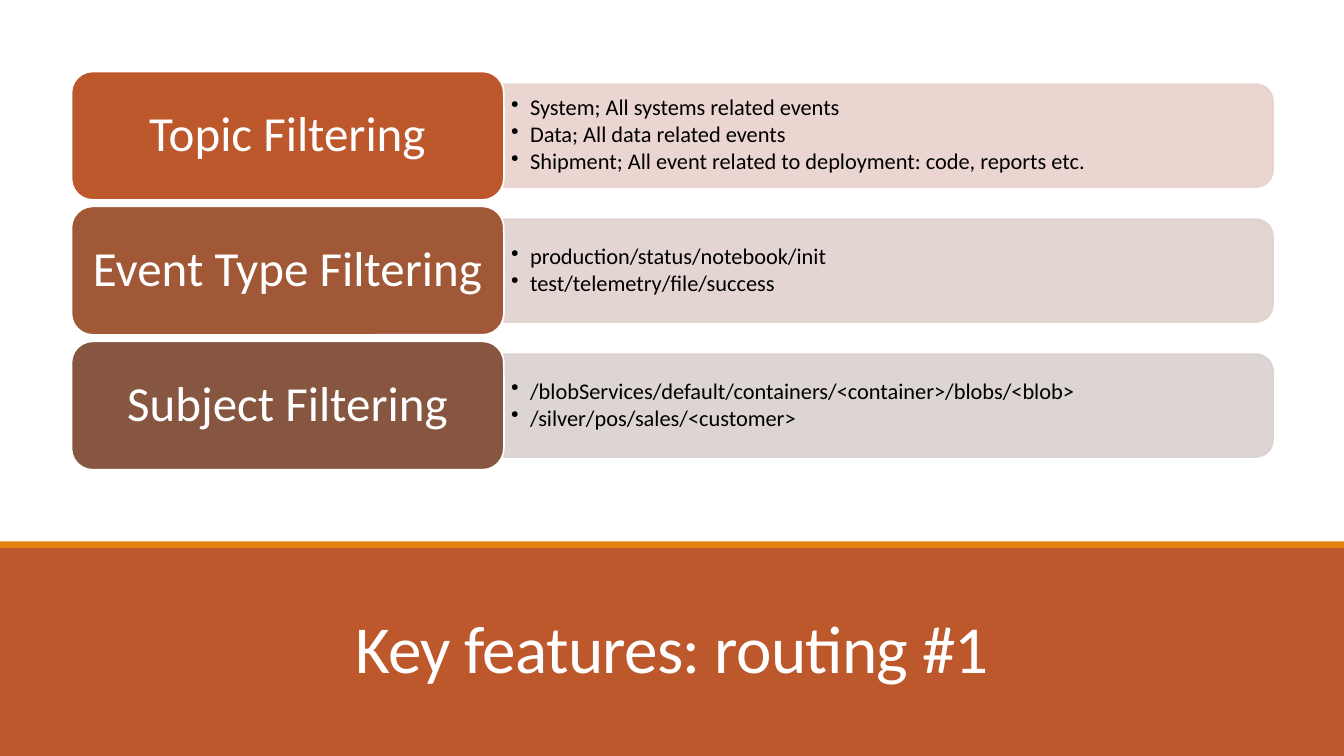
from lxml import etree
from pptx import Presentation
from pptx.dml.color import RGBColor
from pptx.enum import shapes, text
from pptx.oxml import ns
from pptx.util import Cm, Pt

WHITE = RGBColor(0xFF, 0xFF, 0xFF)
BLACK = RGBColor(0, 0, 0)
RUST = RGBColor(0xBD, 0x58, 0x2C)
ORANGE = RGBColor(0xE4, 0x83, 0x12)
SIENNA = RGBColor(0xA0, 0x58, 0x37)
BROWN = RGBColor(0x86, 0x56, 0x40)
PALE_ROSE = RGBColor(0xE8, 0xD1, 0xCD)
PALE_SIENNA = RGBColor(0xE1, 0xD1, 0xCE)
PALE_BROWN = RGBColor(0xD9, 0xD1, 0xCF)

FONT = "Calibri"
PAGE_WIDTH, PAGE_HEIGHT = Cm(33.87), Cm(19.05)

FILTERS = [
    ("Topic Filtering", RUST, PALE_ROSE, [
        "System; All systems related events",
        "Data; All data related events",
        "Shipment; All event related to deployment: code, reports etc.",
    ]),
    ("Event Type Filtering", SIENNA, PALE_SIENNA, [
        "production/status/notebook/init",
        "test/telemetry/file/success",
    ]),
    ("Subject Filtering", BROWN, PALE_BROWN, [
        "/blobServices/default/containers/<container>/blobs/<blob>",
        "/silver/pos/sales/<customer>",
    ]),
]


def add_block(page, kind, left, top, width, height, color, line=None):
    block = page.shapes.add_shape(kind, left, top, width, height)
    block.shadow.inherit = False
    block.fill.solid()
    block.fill.fore_color.rgb = color
    if line is None:
        block.line.fill.background()
    else:
        block.line.color.rgb = line
        block.line.width = Pt(1.25)
    return block


def set_insets(frame, side, edge):
    frame.margin_left = frame.margin_right = side
    frame.margin_top = frame.margin_bottom = edge


def format_paragraph(para, size, color, spacing, after=0):
    para.line_spacing = spacing
    para.space_after = Pt(after)
    for span in para.runs:
        span.font.name = FONT
        span.font.size = Pt(size)
        span.font.color.rgb = color


def add_bullet(para):
    properties = para._p.get_or_add_pPr()
    properties.set("marL", str(Cm(0.48)))
    properties.set("indent", str(-Cm(0.48)))
    etree.SubElement(properties, ns.qn("a:buChar")).set("char", "•")


def add_panel(page, left, top, width, height, color):
    shift = (width - height) // 2
    panel = add_block(page, shapes.MSO_SHAPE.ROUND_2_SAME_RECTANGLE,
                      left + shift, top - shift, height, width, color, color)
    panel.rotation = 90
    for tint in panel.element.spPr.iter(ns.qn("a:srgbClr")):
        etree.SubElement(tint, ns.qn("a:alpha")).set("val", "90000")


def add_details(page, left, top, width, height, lines):
    box = page.shapes.add_textbox(left, top, width, height)
    frame = box.text_frame
    frame.word_wrap = True
    frame.vertical_anchor = text.MSO_ANCHOR.MIDDLE
    set_insets(frame, Cm(0.18), Cm(0.08))
    frame.text = "\n".join(lines)
    for para in frame.paragraphs:
        add_bullet(para)
        format_paragraph(para, 16, BLACK, 0.9, 2)


def add_label(page, left, top, width, height, name, color):
    label = add_block(page, shapes.MSO_SHAPE.ROUNDED_RECTANGLE,
                      left, top, width, height, color, WHITE)
    frame = label.text_frame
    frame.word_wrap = True
    frame.vertical_anchor = text.MSO_ANCHOR.MIDDLE
    set_insets(frame, Cm(0.2), Cm(0.2))
    frame.text = name
    para = frame.paragraphs[0]
    para.alignment = text.PP_ALIGN.CENTER
    format_paragraph(para, 35, WHITE, 0.9)


def add_filter_row(page, left, top, width, height, name, color, tint, lines):
    label_width = Cm(10.9)
    panel_left, panel_width = left + label_width, width - label_width
    panel_height = Cm(2.59)
    panel_top = top + (height - panel_height) // 2
    add_panel(page, panel_left, panel_top, panel_width, panel_height, tint)
    add_details(page, panel_left, panel_top, panel_width, panel_height, lines)
    add_label(page, left, top, label_width, height, name, color)


def add_filters(page, left, top, width, height):
    gap = Cm(0.16)
    row_height = (height - gap * (len(FILTERS) - 1)) // len(FILTERS)
    for index, row in enumerate(FILTERS):
        row_top = top + index * (row_height + gap)
        add_filter_row(page, left, row_top, width, row_height, *row)


def add_title_band(page, left, top, width, height, heading):
    rectangle = shapes.MSO_SHAPE.RECTANGLE
    add_block(page, rectangle, left, top, width, height, RUST)
    rule = add_block(page, rectangle, left, top - Cm(0.13), width, Cm(0.17), ORANGE)

    title = page.shapes.title
    rule.element.addprevious(title.element)
    title.left, title.top = left + Cm(2.97), top + Cm(0.81)
    title.width, title.height = width - Cm(5.93), Cm(2.87)
    frame = title.text_frame
    frame.text = heading
    frame.word_wrap = True
    frame.auto_size = text.MSO_AUTO_SIZE.NONE
    frame.vertical_anchor = text.MSO_ANCHOR.BOTTOM
    para = frame.paragraphs[0]
    para.alignment = text.PP_ALIGN.CENTER
    format_paragraph(para, 48, WHITE, 0.85)
    para.runs[0].font._element.set("spc", "-50")


def main():
    deck = Presentation()
    deck.slide_width, deck.slide_height = PAGE_WIDTH, PAGE_HEIGHT
    page = deck.slides.add_slide(deck.slide_layouts[5])
    page.background.fill.solid()
    page.background.fill.fore_color.rgb = WHITE
    band_top = Cm(13.77)
    add_title_band(page, 0, band_top, PAGE_WIDTH, PAGE_HEIGHT - band_top,
                   "Key features: routing #1")
    add_filters(page, Cm(1.8), Cm(1.8), Cm(30.28), Cm(10.04))
    deck.save("out.pptx")


if __name__ == "__main__":
    main()
